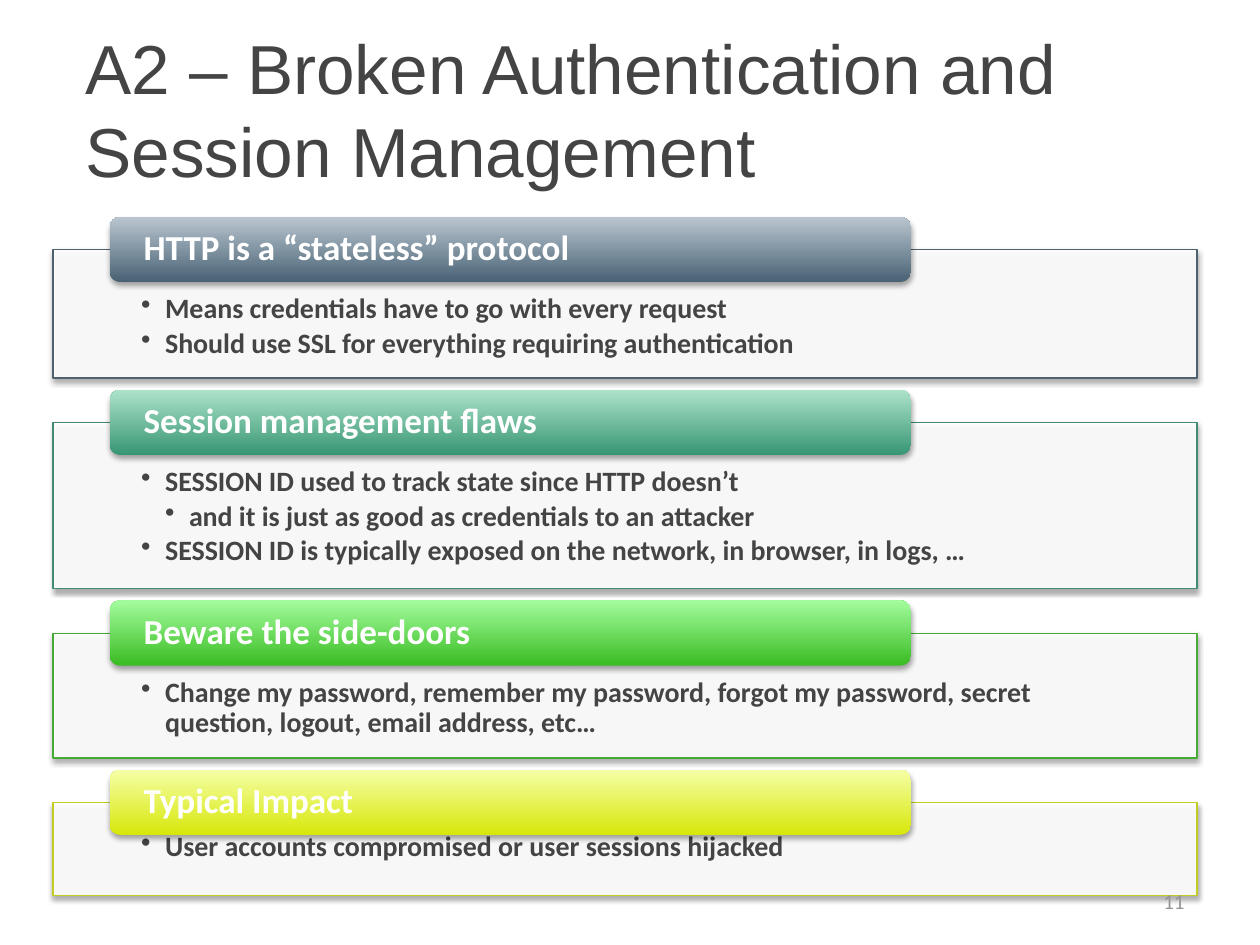
from lxml.etree import SubElement
from pptx import Presentation
from pptx.dml.color import RGBColor
from pptx.enum.shapes import MSO_SHAPE
from pptx.enum.text import MSO_ANCHOR, PP_ALIGN
from pptx.oxml.ns import qn
from pptx.util import Inches, Pt

WIDTH, HEIGHT = Inches(10), Inches(7.5)
COLORS = {"text": "444444", "white": "FFFFFF", "number": "949494", "shadow": "000000"}
TITLE_FONT = {"name": "Arial", "size": Pt(39.6)}
BODY_FONT = {"name": "Calibri", "size": Pt(16), "bold": True}
HEAD_FONT = {"name": "Calibri", "size": Pt(20), "bold": True}
NUMBER_FONT = {"name": "Calibri", "size": Pt(12)}
INDENT = Inches(0.19)
FIRST_TOP, GAP = 26.4, 4.7
SECTIONS = [
    {"head": "HTTP is a “stateless” protocol", "height": 13.6,
     "line": "4D616F", "grad": ("486274", "BAC6D0"),
     "items": [(1, "Means credentials have to go with every request"),
               (1, "Should use SSL for everything requiring authentication")]},
    {"head": "Session management flaws", "height": 17.6,
     "line": "428B70", "grad": ("379673", "ADE3CA"),
     "items": [(1, "SESSION ID used to track state since HTTP doesn’t"),
               (2, "and it is just as good as credentials to an attacker"),
               (1, "SESSION ID is typically exposed on the network, in browser, in logs, …")]},
    {"head": "Beware the side-doors", "height": 13.2,
     "line": "46AB34", "grad": ("39BC22", "A3FC9D"),
     "items": [(1, "Change my password, remember my password, forgot my password, "
                   "secret question, logout, email address, etc…")]},
    {"head": "Typical Impact", "height": 9.87,
     "line": "C1CD23", "grad": ("D7E70A", "F5FFA6"),
     "items": [(1, "User accounts compromised or user sessions hijacked")]},
]


def rgb(value):
    """Turn a hex string into a colour."""
    return RGBColor.from_string(value)


def place(x, y, w, h):
    """Turn percentages of the slide into lengths."""
    return [int(size * share / 100)
            for size, share in zip((WIDTH, HEIGHT, WIDTH, HEIGHT), (x, y, w, h))]


def set_attrs(obj, values):
    """Set each attribute of an object from a dict."""
    for name, value in values.items():
        setattr(obj, name, value)


def add_alpha(color, percent):
    """Give a colour element an opacity."""
    SubElement(color, qn("a:alpha"), val=str(percent * 1000))


def add_shadow(sp):
    """Add a soft shadow below a shape."""
    sp.shadow.inherit = False
    effects = sp._element.spPr.find(qn("a:effectLst"))
    outer = SubElement(effects, qn("a:outerShdw"), blurRad=str(Pt(3.1)),
                       dist=str(Pt(1.8)), dir="5400000", rotWithShape="0")
    add_alpha(SubElement(outer, qn("a:srgbClr"), val=COLORS["shadow"]), 35)


def add_panel(s, box, line):
    """Add a translucent outlined rectangle."""
    sp = s.shapes.add_shape(MSO_SHAPE.RECTANGLE, *place(*box))
    sp.fill.solid()
    sp.fill.fore_color.rgb = rgb(COLORS["white"])
    add_alpha(sp._element.spPr.find(".//" + qn("a:srgbClr")), 90)
    sp.line.color.rgb = rgb(line)
    sp.line.width = Pt(0.75)
    add_shadow(sp)


def add_tab(s, box, grad):
    """Add a rounded heading bar with a vertical gradient."""
    sp = s.shapes.add_shape(MSO_SHAPE.ROUNDED_RECTANGLE, *place(*box))
    sp.fill.gradient()
    sp.fill.gradient_angle = 90
    for stop, color, position in zip(sp.fill.gradient_stops, grad, (0, 1)):
        stop.color.rgb = rgb(color)
        stop.position = position
    sp.line.fill.background()
    add_shadow(sp)


def add_bullet(p, level):
    """Give a paragraph a bullet and a hanging indent."""
    p.level = level
    pPr = p._p.get_or_add_pPr()
    pPr.set("marL", str(INDENT * level))
    pPr.set("indent", str(-INDENT))
    SubElement(pPr, qn("a:buChar"), char="•")


def add_text(s, box, items, font, color, frame=None, para=None):
    """Add a text box of (level, text) paragraphs, bulleted above level 0."""
    tf = s.shapes.add_textbox(*place(*box)).text_frame
    set_attrs(tf, {"word_wrap": True, **(frame or {})})
    for i, (level, text) in enumerate(items):
        p = tf.add_paragraph() if i else tf.paragraphs[0]
        if level:
            add_bullet(p, level)
        set_attrs(p, para or {})
        r = p.add_run()
        r.text = text
        set_attrs(r.font, font)
        r.font.color.rgb = rgb(color)


def add_section(s, top, section):
    """Add a panel with its bullets and heading."""
    panel = (4.2, top, 90.8, section["height"])
    add_panel(s, panel, section["line"])
    add_text(s, panel, section["items"], BODY_FONT, COLORS["text"],
             {"margin_left": Inches(0.7), "margin_right": Inches(0.7),
              "margin_top": Inches(0.36), "margin_bottom": Inches(0.12)},
             {"line_spacing": 0.9, "space_after": Pt(2.4)})
    add_tab(s, (8.7, top - 3.45, 63.6, 6.9), section["grad"])
    add_text(s, (9, top - 3.15, 63.1, 6.3), [(0, section["head"])],
             HEAD_FONT, COLORS["white"],
             {"vertical_anchor": MSO_ANCHOR.MIDDLE, "margin_left": Inches(0.24),
              "margin_right": Inches(0.24), "margin_top": 0, "margin_bottom": 0},
             {"line_spacing": 0.9})


def main():
    """Build and save the slide."""
    prs = Presentation()
    set_attrs(prs, {"slide_width": WIDTH, "slide_height": HEIGHT})
    s = prs.slides.add_slide(prs.slide_layouts[6])
    middle = {"vertical_anchor": MSO_ANCHOR.MIDDLE}
    add_text(s, (5.8, 4, 92.5, 14.9),
             [(0, "A2 – Broken Authentication and Session Management")],
             TITLE_FONT, COLORS["text"], middle)
    top = FIRST_TOP
    for section in SECTIONS:
        add_section(s, top, section)
        top += section["height"] + GAP
    add_text(s, (71.7, 92.7, 23.3, 5.3), [(0, "11")], NUMBER_FONT,
             COLORS["number"], middle, {"alignment": PP_ALIGN.RIGHT})
    prs.save("out.pptx")


if __name__ == "__main__":
    main()
